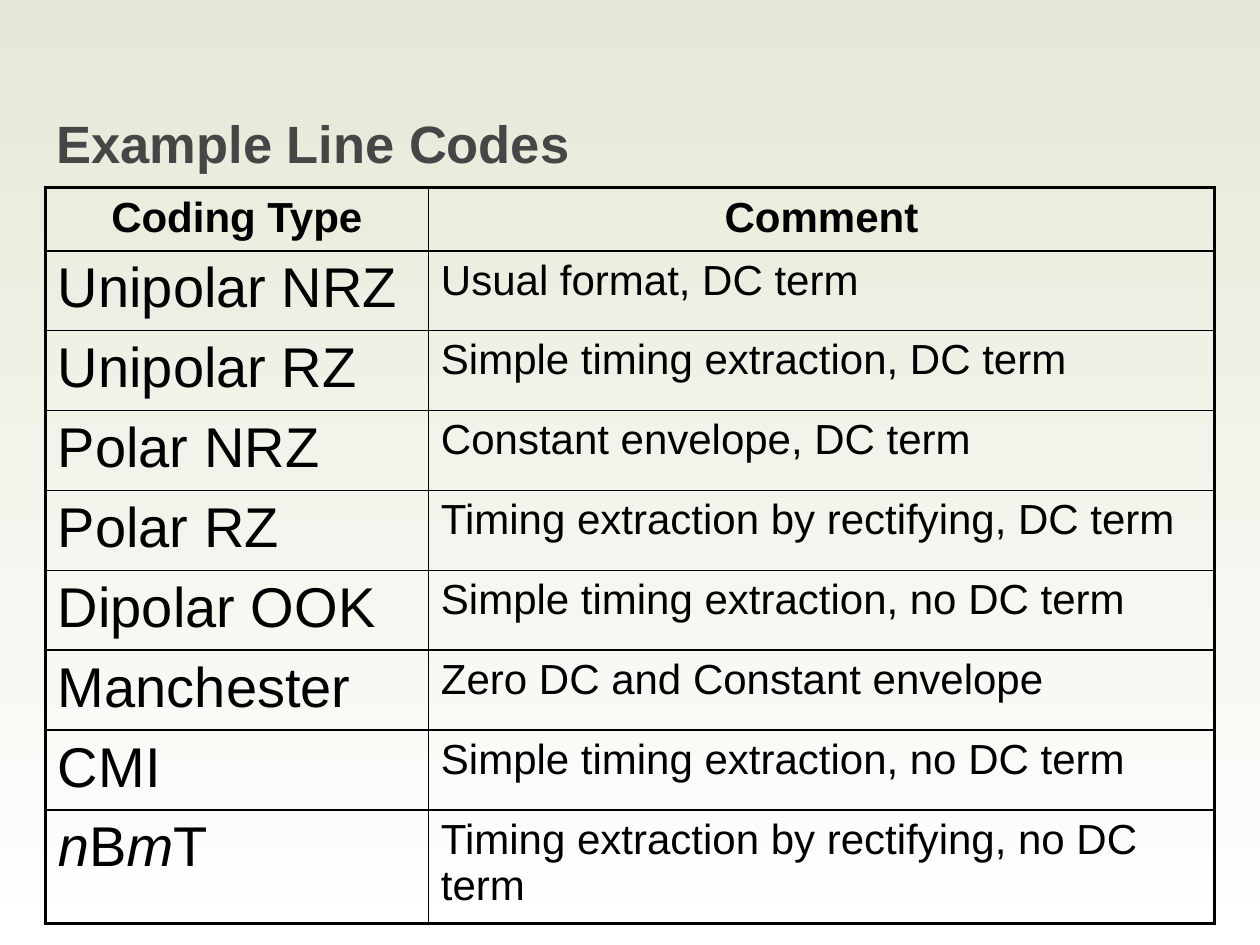
from pptx import Presentation
from pptx.dml.color import RGBColor
from pptx.enum.text import MSO_ANCHOR, PP_ALIGN
from pptx.oxml import parse_xml
from pptx.oxml.ns import nsdecls
from pptx.util import Inches, Pt

COLORS = {"top": "E6E8D7", "bottom": "FFFFFF", "title": "464646", "ink": "000000"}
FONT = "Arial"
THICK, THIN = 2.25, 1

COLUMN_WIDTHS = [3.04, 6.24]
ROW_HEIGHTS = [0.5] + [0.63] * 7 + [0.9]
HEADERS = ["Coding Type", "Comment"]
# A coding type is a list of runs; every other run, from the first, is italic
# when there is more than one.
LINE_CODES = [
    (["Unipolar NRZ"], "Usual format, DC term"),
    (["Unipolar RZ"], "Simple timing extraction, DC term"),
    (["Polar NRZ"], "Constant envelope, DC term"),
    (["Polar RZ"], "Timing extraction by rectifying, DC term"),
    (["Dipolar OOK"], "Simple timing extraction, no DC term"),
    (["Manchester"], "Zero DC and Constant envelope"),
    (["CMI"], "Simple timing extraction, no DC term"),
    (["n", "B", "m", "T"], "Timing extraction by rectifying, no DC term"),
]


def add_run(paragraph, text, color="ink", **formats):
    run = paragraph.add_run()
    run.text = text
    for name, value in {"name": FONT, "bold": False, **formats}.items():
        setattr(run.font, name, value)
    run.font.color.rgb = RGBColor.from_string(COLORS[color])


def set_background(slide):
    fill = slide.background.fill
    fill.gradient()
    fill.gradient_angle = 270
    for stop, name in zip(fill.gradient_stops, ("top", "bottom")):
        stop.color.rgb = RGBColor.from_string(COLORS[name])


def add_title(slide, left, top, width, height):
    shape = slide.shapes.add_textbox(
        Inches(left), Inches(top), Inches(width), Inches(height))
    frame = shape.text_frame
    formats = {"word_wrap": True, "vertical_anchor": MSO_ANCHOR.TOP,
               "margin_top": Inches(0.09)}
    for name, value in formats.items():
        setattr(frame, name, value)
    add_run(frame.paragraphs[0], "Example Line Codes", "title",
            size=Pt(30), bold=True)


def set_borders(cell, widths):
    properties = cell._tc.get_or_add_tcPr()
    for index, (side, width) in enumerate(widths.items()):
        line = parse_xml(
            f'<a:{side} {nsdecls("a")} w="{Pt(width)}"><a:solidFill>'
            f'<a:srgbClr val="{COLORS["ink"]}"/></a:solidFill></a:{side}>')
        properties.insert(index, line)


def add_code_table(slide, left, top):
    row_count, column_count = len(ROW_HEIGHTS), len(COLUMN_WIDTHS)
    table = slide.shapes.add_table(
        row_count, column_count, Inches(left), Inches(top),
        Inches(sum(COLUMN_WIDTHS)), Inches(sum(ROW_HEIGHTS))).table
    table.first_row = table.horz_banding = False
    for column, width in zip(table.columns, COLUMN_WIDTHS):
        column.width = Inches(width)
    for row, height in zip(table.rows, ROW_HEIGHTS):
        row.height = Inches(height)

    # Header row
    for cell, header in zip(table.rows[0].cells, HEADERS):
        paragraph = cell.text_frame.paragraphs[0]
        paragraph.alignment = PP_ALIGN.CENTER
        add_run(paragraph, header, size=Pt(24), bold=True)

    # One row for each line code
    for r, (code, comment) in enumerate(LINE_CODES, start=1):
        paragraph = table.cell(r, 0).text_frame.paragraphs[0]
        for index, text in enumerate(code):
            italic = len(code) > 1 and index % 2 == 0
            add_run(paragraph, text, size=Pt(32), italic=italic)
        add_run(table.cell(r, 1).text_frame.paragraphs[0], comment, size=Pt(24))

    # Clear cells, thick outer frame and thin inner lines
    for r in range(row_count):
        for c in range(column_count):
            cell = table.cell(r, c)
            cell.fill.background()
            outer = {"lnL": c == 0, "lnR": c == column_count - 1,
                     "lnT": r == 0, "lnB": r == row_count - 1}
            set_borders(cell, {side: THICK if edge else THIN
                               for side, edge in outer.items()})


def main():
    presentation = Presentation()
    presentation.slide_width = Inches(10)
    presentation.slide_height = Inches(7.5)
    slide = presentation.slides.add_slide(presentation.slide_layouts[6])
    set_background(slide)
    add_title(slide, 0.35, 0.79, 9.28, 1.42)
    add_code_table(slide, 0.36, 1.49)
    presentation.save("out.pptx")


if __name__ == "__main__":
    main()
